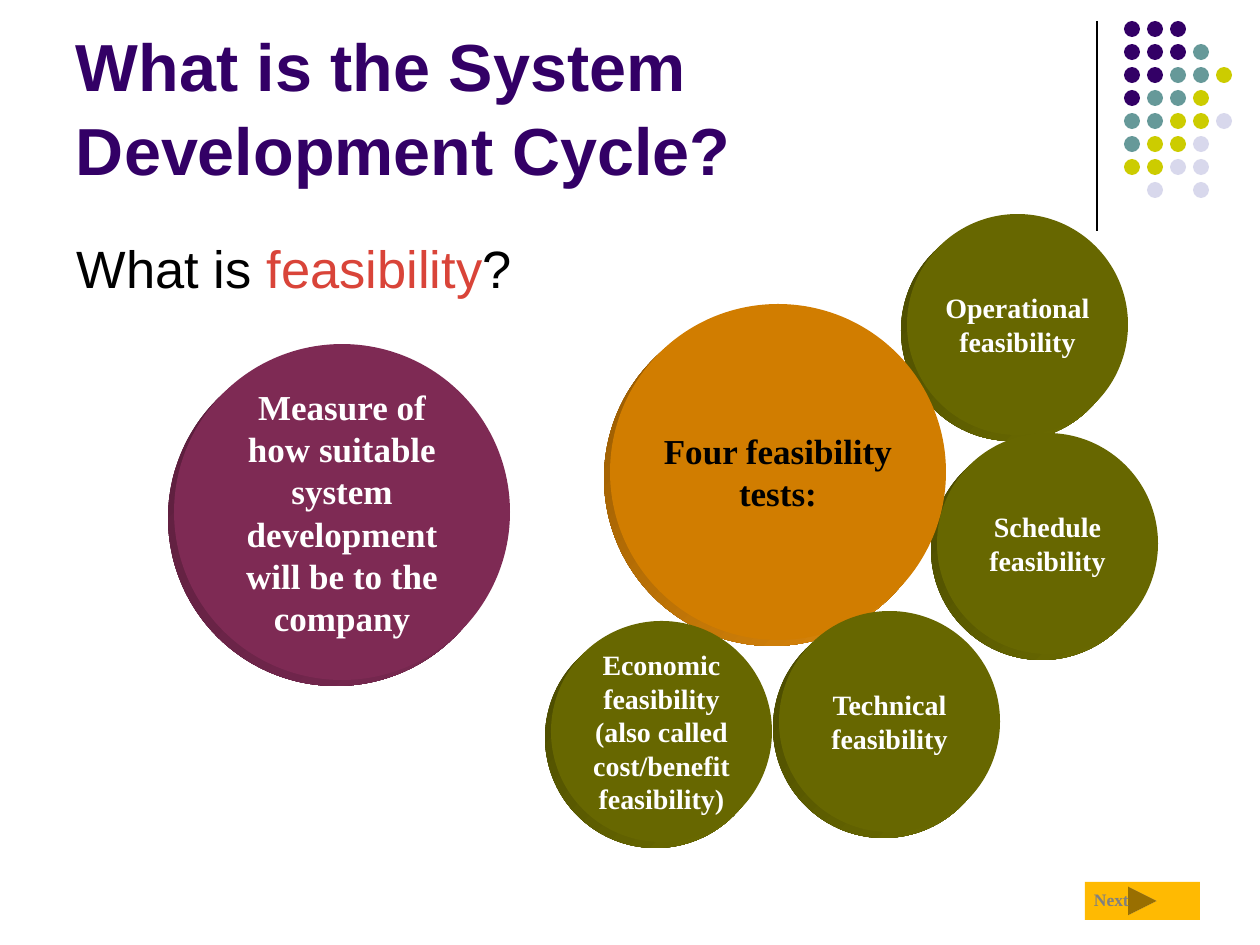
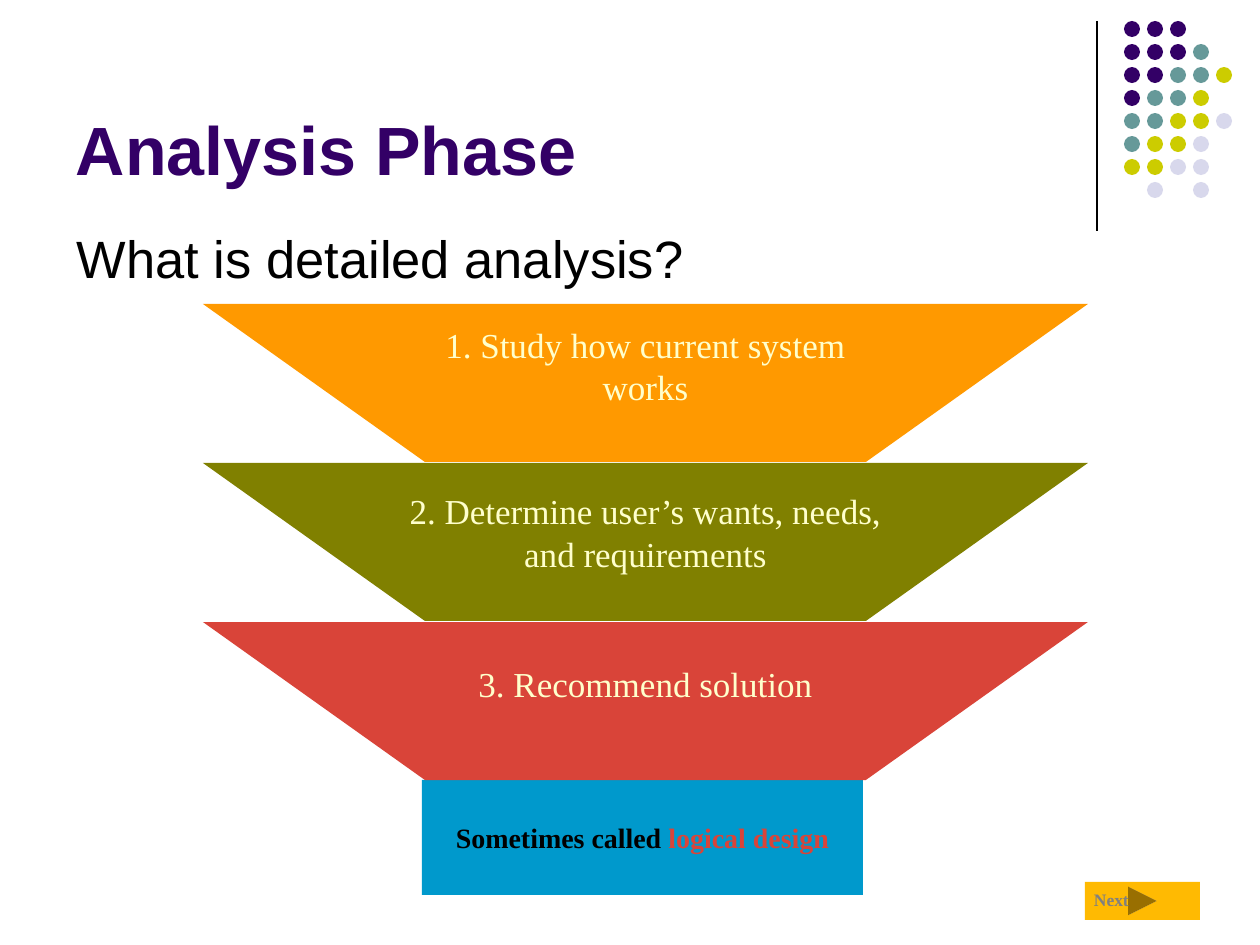
from lxml import etree
from pptx import Presentation
from pptx.dml.color import RGBColor
from pptx.enum.shapes import MSO_CONNECTOR, MSO_SHAPE as SHAPE
from pptx.enum.text import MSO_ANCHOR as ANCHOR, PP_ALIGN as ALIGN
from pptx.oxml.ns import qn
from pptx.util import Pt

PX = 914400 / 126
SANS, SERIF = "Arial", "Times New Roman"
PURPLE, RED, OLIVE, ORANGE = "330066", "D94439", "808000", "FF9900"
WHITE, BLACK, CREAM = "FFFFFF", "000000", "FFFFCC"

DOT_COLOURS = {"p": PURPLE, "t": "669999", "y": "CCCC00", "l": "D8D8EC"}
DOT_ROWS = ["ppp", "pppt", "pptty", "ptty", "ttyyl", "tyyl", "yyll", " l l"]
DOT_SIZE, DOT_PITCH = 16, 23

# face colour, then the rim's dark and light ends
DISC_COLOURS = {
    "plum": ("7E2A54", "5A1E3C", "7A2952"),
    "amber": ("D17D00", "945800", "E08A0C"),
    "moss": ("676700", "484800", "6E6E00"),
}
RIM = 6

HEADING = {"name": SANS, "bold": True}
SUBHEADING = {"name": SANS, "size": Pt(30)}
STEP = {"name": SERIF, "size": Pt(20)}
LARGE = {**STEP, "bold": True}
SMALL = {**LARGE, "size": Pt(16)}
TINY = {**LARGE, "size": Pt(10)}


def px(*lengths):
    return [round(length * PX) for length in lengths]


def colour(hex_string):
    return RGBColor.from_string(hex_string)


def write(shape, runs, font, align=ALIGN.LEFT, anchor=ANCHOR.TOP, insets=(13, 6, 13, 6), spacing=1.0):
    """Fill a shape with one paragraph of (text, colour) runs."""
    frame = shape.text_frame
    left, top, right, bottom = px(*insets)
    layout = {"word_wrap": True, "vertical_anchor": anchor, "margin_left": left,
              "margin_top": top, "margin_right": right, "margin_bottom": bottom}
    for name, value in layout.items():
        setattr(frame, name, value)
    paragraph = frame.paragraphs[0]
    paragraph.alignment = align
    paragraph.line_spacing = spacing
    for text, ink in runs:
        run = paragraph.add_run()
        run.text = text
        for name, value in font.items():
            setattr(run.font, name, value)
        run.font.color.rgb = colour(ink)


def paint(shape, fill):
    shape.shadow.inherit = False
    shape.line.fill.background()
    shape.fill.solid()
    shape.fill.fore_color.rgb = colour(fill)
    return shape


def add_block(slide, preset, box, fill):
    return paint(slide.shapes.add_shape(preset, *px(*box)), fill)


def add_text(slide, box, runs, font, **layout):
    write(slide.shapes.add_textbox(*px(*box)), runs, font, **layout)


def add_dot_corner(slide, left, top):
    rule = slide.shapes.add_connector(MSO_CONNECTOR.STRAIGHT, *px(left, top, left, top + 210))
    rule.line.color.rgb = colour(BLACK)
    rule.line.width = Pt(0.75)
    etree.SubElement(rule.element.spPr, qn("a:effectLst"))
    for row, keys in enumerate(DOT_ROWS):
        for column, key in enumerate(keys):
            if key in DOT_COLOURS:
                box = (left + 27 + column * DOT_PITCH, top + row * DOT_PITCH, DOT_SIZE, DOT_SIZE)
                add_block(slide, SHAPE.OVAL, box, DOT_COLOURS[key])


def add_next_button(slide, left, top):
    add_block(slide, SHAPE.ACTION_BUTTON_FORWARD_OR_NEXT, (left, top, 115, 38), "FFBA02")
    add_text(slide, (left - 4, top + 1, 64, 34), [("Next", "808080")], TINY)


def add_frame(deck, title, title_size, question, question_top):
    """Add a slide with the parts that every slide shares."""
    slide = deck.slides.add_slide(deck.slide_layouts[6])
    add_dot_corner(slide, 1097, 21)
    add_text(slide, (63, 16, 1040, 179), [(title, PURPLE)],
             {**HEADING, "size": Pt(title_size)}, anchor=ANCHOR.BOTTOM, spacing=1.05)
    add_text(slide, (64, question_top, 1134, 299 - question_top), question, SUBHEADING,
             insets=(13, 12, 13, 6))
    add_next_button(slide, 1085, 882)
    return slide


def add_disc(slide, left, top, size, scheme, text, ink, font):
    """Add a round face over a shaded rim that shows at the lower left."""
    face_fill, dark, light = DISC_COLOURS[scheme]
    rim = add_block(slide, SHAPE.OVAL, (left - RIM, top + RIM, size, size), dark)
    rim.fill.gradient()
    rim.fill.gradient_angle = 315
    for stop, tint in zip(rim.fill.gradient_stops, (dark, light)):
        stop.color.rgb = colour(tint)
    face = add_block(slide, SHAPE.OVAL, (left, top, size, size), face_fill)
    write(face, [(text, ink)], font, ALIGN.CENTER, ANCHOR.MIDDLE, (0, 0, 0, 0))


def add_funnel(slide, left, top, width, steps):
    height, pitch, slope = 158, 159, 222
    for index, (text, fill, lift) in enumerate(steps):
        upper = top + index * pitch
        lower = upper + height
        outline = slide.shapes.build_freeform(*px(left, upper), scale=1.0)
        outline.add_line_segments([px(left + slope, lower), px(left + width - slope, lower),
                                   px(left + width, upper)], close=True)
        band = paint(outline.convert_to_shape(), fill)
        write(band, [(text, CREAM)], STEP, ALIGN.CENTER, ANCHOR.MIDDLE, (201, 0, 201, lift))


def build_feasibility(deck):
    slide = add_frame(deck, "What is the System Development Cycle?", 38,
                      [("What is ", BLACK), ("feasibility", RED), ("?", BLACK)], 224)
    large, small = 336, 221
    add_disc(slide, 174, 344, large, "plum",
             "Measure of how suitable system development will be to the company", WHITE, LARGE)
    add_disc(slide, 907, 214, small, "moss", "Operational feasibility", WHITE, SMALL)
    add_disc(slide, 937, 433, small, "moss", "Schedule feasibility", WHITE, SMALL)
    add_disc(slide, 610, 304, large, "amber", "Four feasibility tests:", BLACK, LARGE)
    add_disc(slide, 779, 611, small, "moss", "Technical feasibility", WHITE, SMALL)
    add_disc(slide, 551, 621, small, "moss",
             "Economic feasibility (also called cost/benefit feasibility)", WHITE, SMALL)


def build_analysis(deck):
    slide = add_frame(deck, "Analysis Phase", 39, [("What is detailed analysis?", BLACK)], 214)
    design_note = add_block(slide, SHAPE.RECTANGLE, (422, 780, 441, 115), "0099CC")
    write(design_note, [("Sometimes called ", BLACK), ("logical design", RED)], SMALL,
          ALIGN.CENTER, ANCHOR.MIDDLE)
    add_funnel(slide, 203, 304, 885, [
        ("1. Study how current system works", ORANGE, 36),
        ("2. Determine user’s wants, needs, and requirements", OLIVE, 20),
        ("3. Recommend solution", RED, 36),
    ])


def main():
    deck = Presentation()
    deck.slide_width, deck.slide_height = px(1260, 945)
    build_feasibility(deck)
    build_analysis(deck)
    deck.save("out.pptx")


if __name__ == "__main__":
    main()
